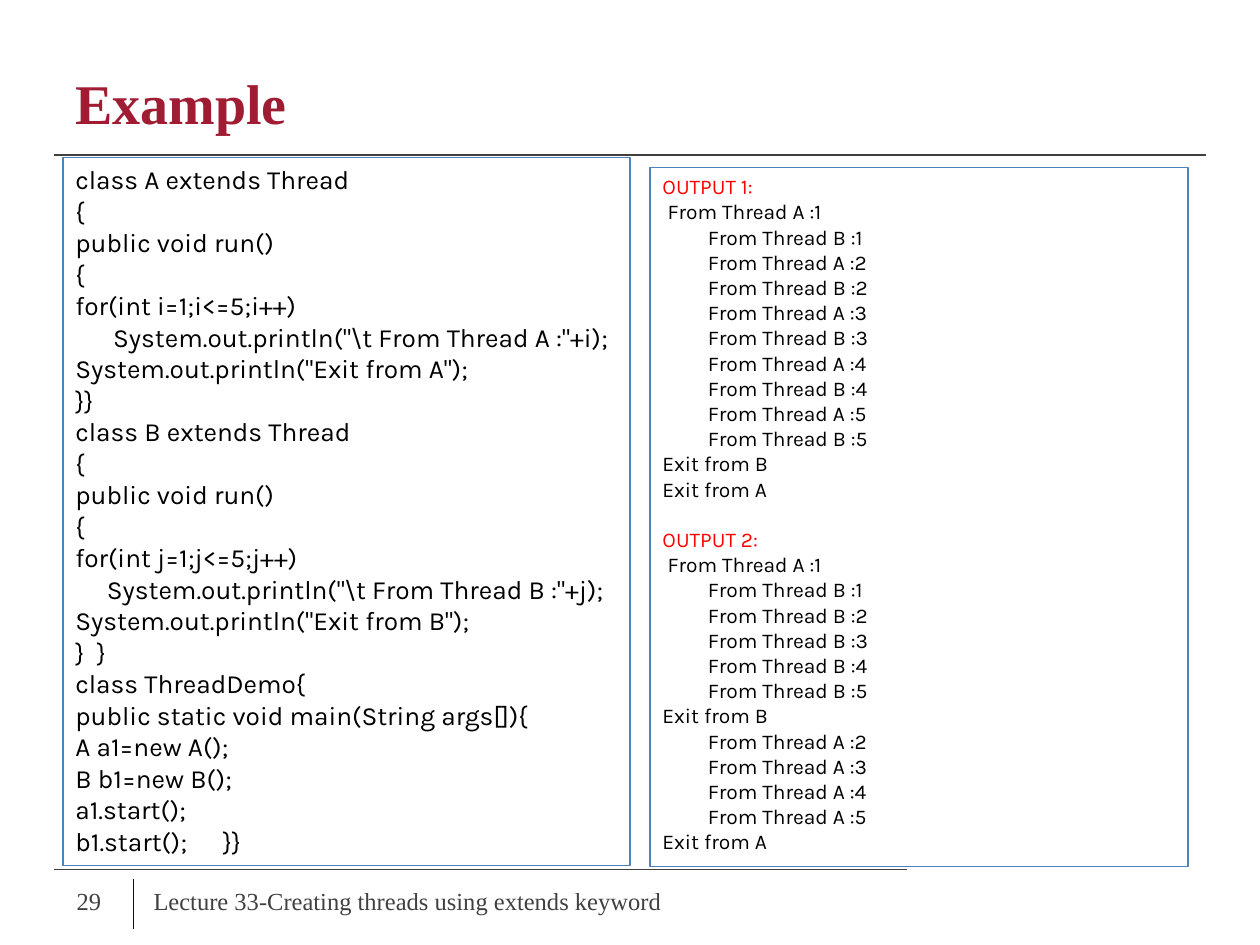
from dataclasses import dataclass

from lxml.etree import SubElement
from pptx import Presentation
from pptx.dml.color import RGBColor
from pptx.enum.shapes import MSO_CONNECTOR, MSO_SHAPE
from pptx.enum.text import MSO_ANCHOR, PP_ALIGN
from pptx.oxml.ns import qn
from pptx.util import Inches, Pt


@dataclass(frozen=True)
class Theme:
    """Colours, fonts and type sizes of the slide."""
    heading: RGBColor = RGBColor(0x9F, 0x1C, 0x33)
    footer: RGBColor = RGBColor(0x40, 0x40, 0x40)
    divider: RGBColor = RGBColor(0x0D, 0x0D, 0x0D)
    border: RGBColor = RGBColor(0x4F, 0x81, 0xBD)
    body: RGBColor = RGBColor(0, 0, 0)
    label: RGBColor = RGBColor(0xFF, 0, 0)
    serif: str = "Times New Roman"
    sans: str = "Karla"
    heading_size: int = 32
    footer_size: int = 14
    code_size: int = 15
    output_size: int = 12
    rule_width: float = 0.75
    line_pitch: float = 1.2


THEME = Theme()


def thread_class(name, counter, indent):
    """Return the code lines of one thread class as (text, indent, tab)."""
    return [
        (f"class {name} extends Thread", 0, 0),
        ("{", 0, 0),
        ("public void run()", 0, 0),
        ("{", 0, 0),
        (f"for(int {counter}=1;{counter}<=5;{counter}++)", 0, 0),
        (f'System.out.println("\\t From Thread {name} :"+{counter});', indent, 0),
        (f'System.out.println("Exit from {name}");', 0, 0),
    ]


CODE = [
    *thread_class("A", "i", 0.3),
    ("}}", 0, 0),
    *thread_class("B", "j", 0.25),
    ("}\t}", 0, 0.17),
    ("class ThreadDemo{", 0, 0),
    ("public static void main(String args[]){", 0, 0),
    ("A a1=new A();", 0, 0),
    ("B b1=new B();", 0, 0),
    ("a1.start();", 0, 0),
    ("b1.start();\t}}", 0, 1.17),
]
RUNS = [
    "A1 B1 A2 B2 A3 B3 A4 B4 A5 B5 B A",
    "A1 B1 B2 B3 B4 B5 B A2 A3 A4 A5 A",
]


def output_lines(steps):
    """Expand steps such as A1 (a message) and A (an exit) into output lines."""
    lines = []
    for position, step in enumerate(steps.split()):
        if len(step) == 1:
            lines.append((f"Exit from {step}", 0, 0))
        else:
            indent = 0.36 if position else 0.04
            lines.append((f"From Thread {step[0]} :{step[1]}", indent, 0))
    return lines


def style_paragraph(paragraph, font_name, size, color, bold=False):
    """Format every run of a paragraph."""
    for run in paragraph.runs:
        run.font.name = font_name
        run.font.size = Pt(size)
        run.font.bold = bold
        run.font.color.rgb = color


def add_rule(slide, start, end, color):
    """Draw a thin straight line between two points in inches."""
    rule = slide.shapes.add_connector(
        MSO_CONNECTOR.STRAIGHT, *map(Inches, start + end))
    rule.line.color.rgb = color
    rule.line.width = Pt(THEME.rule_width)
    SubElement(rule._element.spPr, qn("a:effectLst"))


def add_label(slide, box, wording, size, color, bold=False):
    """Place one vertically centred serif line in a box."""
    label = slide.shapes.add_textbox(*map(Inches, box))
    frame = label.text_frame
    frame.word_wrap = True
    frame.vertical_anchor = MSO_ANCHOR.MIDDLE
    frame.text = wording
    style_paragraph(frame.paragraphs[0], THEME.serif, size, color, bold)


def add_panel(slide, box):
    """Place an outlined panel and return its text frame."""
    panel = slide.shapes.add_shape(MSO_SHAPE.RECTANGLE, *map(Inches, box))
    panel.shadow.inherit = False
    panel.fill.background()
    panel.line.color.rgb = THEME.border
    panel.line.width = Pt(THEME.rule_width)
    frame = panel.text_frame
    frame.word_wrap = True
    frame.vertical_anchor = MSO_ANCHOR.TOP
    return frame


def add_line(frame, line, size, color):
    """Write the next line of a panel and return its paragraph."""
    wording, indent, tab = line
    first = frame.paragraphs[0]
    paragraph = frame.add_paragraph() if first.runs else first
    paragraph.text = wording
    paragraph.alignment = PP_ALIGN.LEFT
    paragraph.line_spacing = Pt(size * THEME.line_pitch)
    properties = paragraph._p.get_or_add_pPr()
    properties.set("marL", str(Inches(indent)))
    if tab:
        stops = SubElement(properties, qn("a:tabLst"))
        SubElement(stops, qn("a:tab"), pos=str(Inches(tab)), algn="l")
    style_paragraph(paragraph, THEME.sans, size, color)
    return paragraph


def add_code(slide, box):
    """Fill a panel with the program."""
    frame = add_panel(slide, box)
    for line in CODE:
        add_line(frame, line, THEME.code_size, THEME.body)


def add_outputs(slide, box):
    """Fill a panel with the labelled outputs of both runs."""
    frame = add_panel(slide, box)
    size = THEME.output_size
    for number, steps in enumerate(RUNS, start=1):
        caption = add_line(frame, (f"OUTPUT {number}:", 0, 0), size, THEME.label)
        if number > 1:
            caption.space_before = Pt(size * THEME.line_pitch)
        for line in output_lines(steps):
            add_line(frame, line, size, THEME.body)


def add_header(slide, box):
    """Place the title and the rule beneath it."""
    left, top, width, height = box
    add_rule(slide, (0.43, 1.23), (9.57, 1.23), THEME.footer)
    add_label(slide, (left, top, width, height), "Example",
              THEME.heading_size, THEME.heading, bold=True)


def add_footer(slide, box):
    """Place the footer rule, page number, divider and lecture name."""
    left, top, width, height = box
    divider = left + 0.63
    add_rule(slide, (left, top), (left + width, top), THEME.footer)
    add_rule(slide, (divider, top + 0.08), (divider, top + height), THEME.divider)
    add_label(slide, (left + 0.08, top + 0.05, 0.52, 0.4), "29",
              THEME.footer_size, THEME.footer)
    add_label(slide, (divider + 0.06, top + 0.05, 4.42, 0.4),
              "Lecture 33-Creating threads using extends keyword",
              THEME.footer_size, THEME.footer)


def main():
    """Build and save the slide."""
    deck = Presentation()
    deck.slide_width, deck.slide_height = Inches(10), Inches(7.5)
    slide = deck.slides.add_slide(deck.slide_layouts[6])
    add_header(slide, (0.5, 0.36, 9, 0.9))
    add_footer(slide, (0.43, 6.9, 6.77, 0.47))
    add_code(slide, (0.5, 1.25, 4.5, 5.62))
    add_outputs(slide, (5.16, 1.33, 4.27, 5.55))
    deck.save("out.pptx")


if __name__ == "__main__":
    main()
